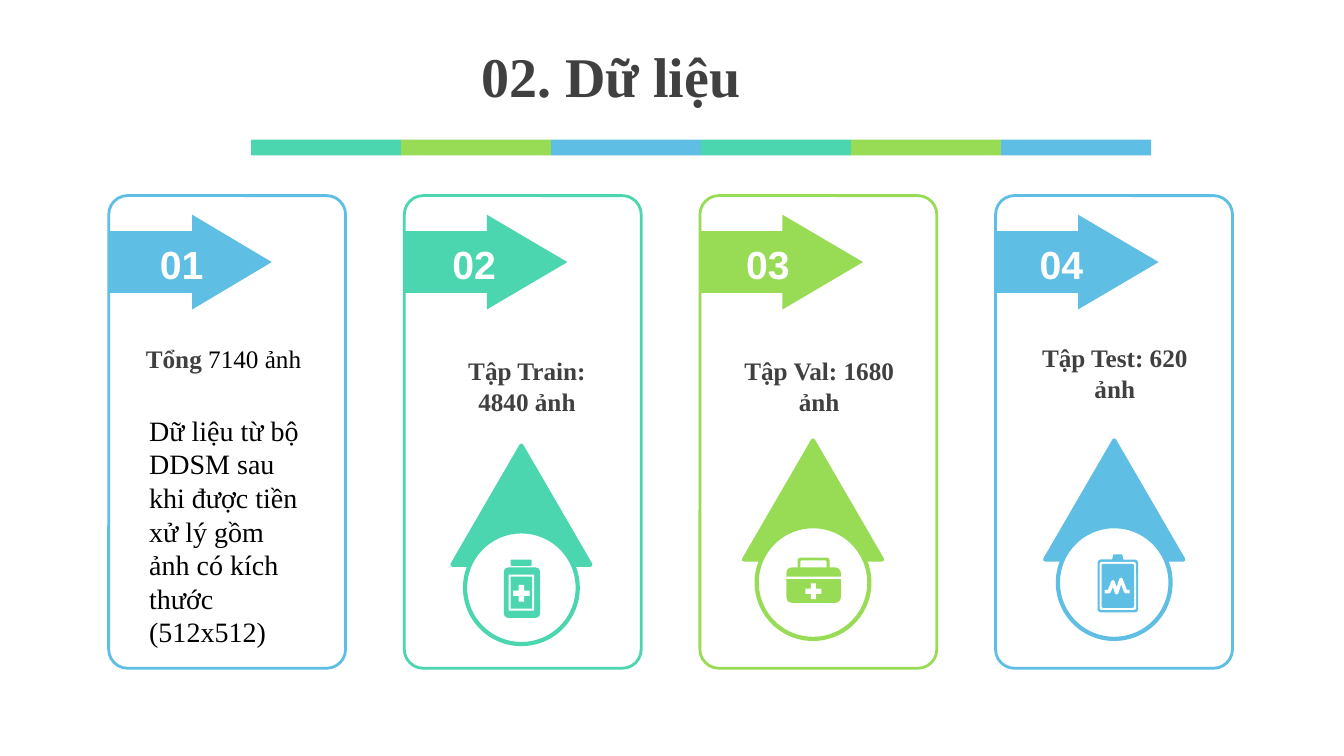
"""Build the dataset overview slide with four numbered panels."""
from dataclasses import dataclass

from pptx import Presentation
from pptx.dml.color import RGBColor
from pptx.enum.shapes import MSO_SHAPE
from pptx.enum.text import MSO_AUTO_SIZE, PP_ALIGN
from pptx.shapes.autoshape import Shape
from pptx.slide import Slide
from pptx.util import Cm, Pt

BLUE = RGBColor(0x5E, 0xBE, 0xE4)
TEAL = RGBColor(0x4C, 0xD6, 0xB0)
GREEN = RGBColor(0x98, 0xDC, 0x56)
WHITE = RGBColor(0xFF, 0xFF, 0xFF)
GREY = RGBColor(0x40, 0x40, 0x40)
BLACK = RGBColor(0x00, 0x00, 0x00)
SERIF = "Times New Roman"
SANS = "Arial"
Box = tuple[float, float, float, float]


@dataclass(frozen=True)
class Panel:
    """A numbered card with its label position."""

    number: str
    color: RGBColor
    number_offset: float
    head: float
    label: str
    label_box: Box


@dataclass(frozen=True)
class Piece:
    """One piece of an icon, placed from the corner of its pin."""

    kind: MSO_SHAPE
    box: Box
    white: bool = False
    adj: float | None = None


@dataclass(frozen=True)
class Pin:
    """A triangle and ring that hold an icon."""

    color: RGBColor
    left: float
    top: float
    icon: tuple[Piece, ...]
    pulse: tuple[tuple[float, float], ...] = ()


RECT, ROUND, CROSS = MSO_SHAPE.RECTANGLE, MSO_SHAPE.ROUNDED_RECTANGLE, MSO_SHAPE.CROSS

PANELS = (
    Panel("01", BLUE, 0.94, 0.84, "Tổng", (3.35, 8.53, 4.57, 1.02)),
    Panel("02", TEAL, 0.86, 0.85, "Tập Train: 4840 ảnh", (11.07, 8.84, 4.42, 1.8)),
    Panel("03", GREEN, 0.81, 0.85, "Tập Val: 1680 ảnh", (18.36, 8.84, 4.57, 1.8)),
    Panel("04", BLUE, 0.76, 0.85, "Tập Test: 620 ảnh", (25.81, 8.51, 4.57, 1.8)),
)
BOTTLE = (
    Piece(ROUND, (1.47, 2.87, 0.53, 0.16), adj=0.2),
    Piece(ROUND, (1.3, 3.07, 0.91, 1.27), adj=0.12),
    Piece(RECT, (1.42, 3.25, 0.64, 0.91), True),
    Piece(RECT, (1.47, 3.3, 0.54, 0.81)),
    Piece(CROSS, (1.53, 3.51, 0.42, 0.42), True, 0.34),
)
CASE = (
    Piece(ROUND, (1.35, 2.95, 0.81, 0.4), adj=0.2),
    Piece(ROUND, (1.42, 3.02, 0.66, 0.3), True, 0.15),
    Piece(ROUND, (1.07, 3.2, 1.37, 0.89), adj=0.15),
    Piece(RECT, (1.07, 3.43, 1.37, 0.06), True),
    Piece(CROSS, (1.55, 3.6, 0.4, 0.4), True, 0.34),
)
CLIPBOARD = (
    Piece(MSO_SHAPE.TRAPEZOID, (1.68, 2.87, 0.3, 0.16)),
    Piece(ROUND, (1.32, 3, 1.02, 1.33), adj=0.08),
    Piece(ROUND, (1.37, 3.06, 0.92, 1.21), True, 0.06),
    Piece(ROUND, (1.42, 3.11, 0.82, 1.11), adj=0.06),
)
PULSE = ((1.5, 3.81), (1.61, 3.81), (1.71, 3.56), (1.8, 3.84),
         (1.91, 3.5), (2.03, 3.81), (2.13, 3.81))
PINS = (
    Pin(BLUE, 26.34, 11.1, CLIPBOARD, PULSE),
    Pin(GREEN, 18.75, 11.1, CASE),
    Pin(TEAL, 11.4, 11.23, BOTTLE),
)


def add_shape(s: Slide, kind: MSO_SHAPE, box: Box, fill: RGBColor,
              line: RGBColor | None = None, width: float = 2,
              adj: tuple[float, ...] = ()) -> Shape:
    """Add a flat preset shape."""
    sp = s.shapes.add_shape(kind, *map(Cm, box))
    sp.shadow.inherit = False
    sp.fill.solid()
    sp.fill.fore_color.rgb = fill
    if line is None:
        sp.line.fill.background()
    else:
        sp.line.color.rgb = line
        sp.line.width = Pt(width)
    for i, value in enumerate(adj):
        sp.adjustments[i] = value
    return sp


def format_run(r, size: float, color: RGBColor, bold: bool, font: str) -> None:
    """Set the font of a run."""
    r.font.name = font
    r.font.size = Pt(size)
    r.font.bold = bold
    r.font.color.rgb = color


def add_text(s: Slide, box: Box, text: str, size: float, color: RGBColor,
             bold: bool = True, font: str = SERIF,
             align: PP_ALIGN = PP_ALIGN.CENTER) -> Shape:
    """Add a wrapped text box with one paragraph."""
    sp = s.shapes.add_textbox(*map(Cm, box))
    tf = sp.text_frame
    tf.word_wrap = True
    tf.auto_size = MSO_AUTO_SIZE.SHAPE_TO_FIT_TEXT
    p = tf.paragraphs[0]
    p.text = text
    p.alignment = align
    format_run(p.runs[0], size, color, bold, font)
    return sp


def add_panel(s: Slide, index: int, panel: Panel) -> None:
    """Draw a card with its arrow, number and label."""
    left = 2.74 + 7.45 * index
    add_shape(s, ROUND, (left, 4.93, 5.97, 11.91), WHITE, panel.color, adj=(0.08,))
    add_shape(s, MSO_SHAPE.RIGHT_ARROW, (left, 5.41, 4.11, 2.39), panel.color,
              adj=(0.65, panel.head))
    add_text(s, (left + panel.number_offset, 5.92, 1.8, 1.45), panel.number, 28, WHITE,
             font=SANS)
    sp = add_text(s, panel.label_box, panel.label, 18, GREY)
    if index == 0:
        r = sp.text_frame.paragraphs[0].add_run()
        r.text = " 7140 ảnh"
        format_run(r, 18, BLACK, False, SERIF)


def add_pin(s: Slide, pin: Pin) -> None:
    """Draw a triangle, its ring and the icon inside."""
    x, y = pin.left, pin.top
    add_shape(s, MSO_SHAPE.ISOSCELES_TRIANGLE, (x, y, 3.48, 3), pin.color, pin.color, 3)
    add_shape(s, MSO_SHAPE.OVAL, (x + 0.32, y + 2.16, 2.84, 2.84), WHITE, pin.color, 3)
    for piece in pin.icon:
        dx, dy, w, h = piece.box
        add_shape(s, piece.kind, (x + dx, y + dy, w, h), WHITE if piece.white else pin.color,
                  adj=() if piece.adj is None else (piece.adj,))
    if pin.pulse:
        points = [(Cm(x + dx), Cm(y + dy)) for dx, dy in pin.pulse]
        builder = s.shapes.build_freeform(*points[0])
        builder.add_line_segments(points[1:], close=False)
        sp = builder.convert_to_shape()
        sp.shadow.inherit = False
        sp.fill.background()
        sp.line.color.rgb = WHITE
        sp.line.width = Pt(2.5)


def main() -> None:
    """Build and save the slide."""
    prs = Presentation()
    prs.slide_width, prs.slide_height = Cm(33.87), Cm(19.05)
    s = prs.slides.add_slide(prs.slide_layouts[6])
    for i, panel in enumerate(PANELS):
        add_panel(s, i, panel)
    add_text(s, (3.51, 10.29, 4.57, 6.25),
             "Dữ liệu từ bộ DDSM sau khi được tiền xử lý gồm ảnh có kích thước (512x512)",
             20, BLACK, False, align=PP_ALIGN.LEFT)
    add_text(s, (11.89, 0.91, 18.52, 1.96), "02. Dữ liệu", 40, GREY, align=PP_ALIGN.LEFT)
    for i, color in enumerate((TEAL, GREEN, BLUE) * 2):
        add_shape(s, RECT, (6.33 + 3.78 * i, 3.52, 3.78, 0.4), color)
    for pin in PINS:
        add_pin(s, pin)
    prs.save("out.pptx")


if __name__ == "__main__":
    main()
